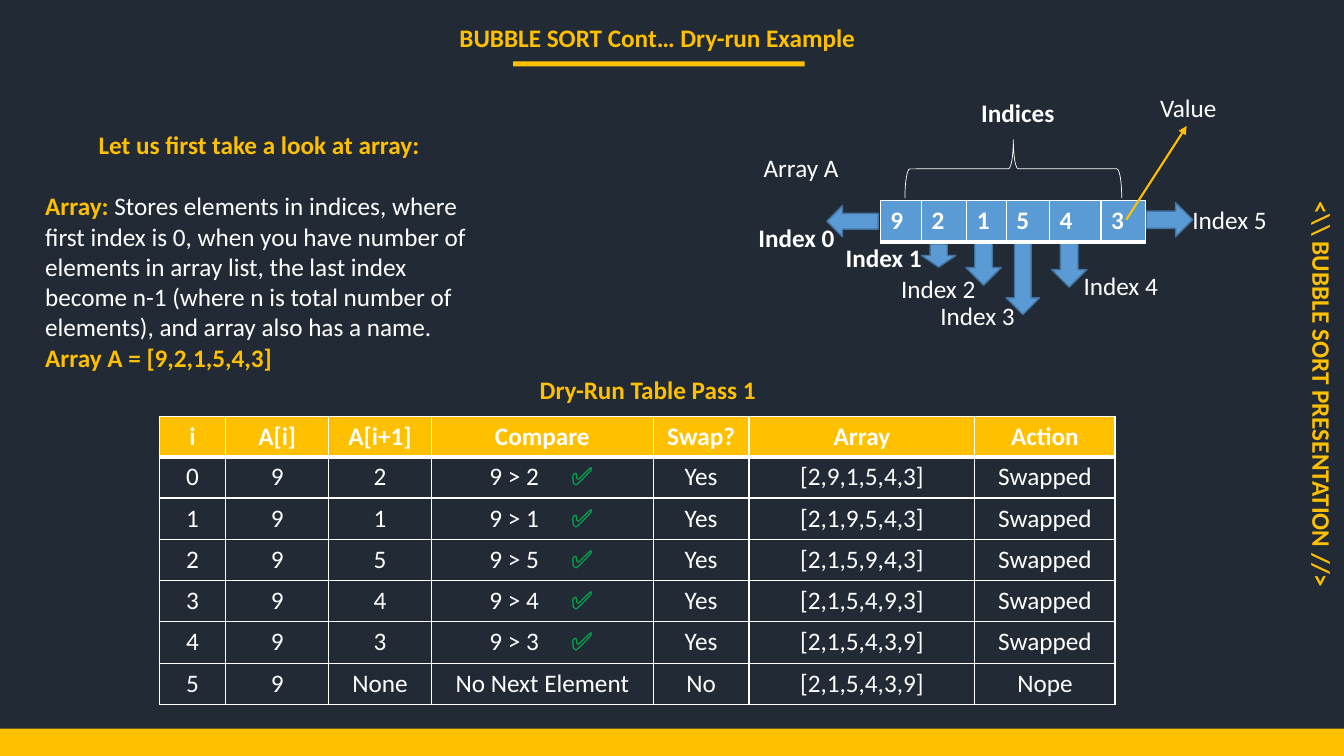
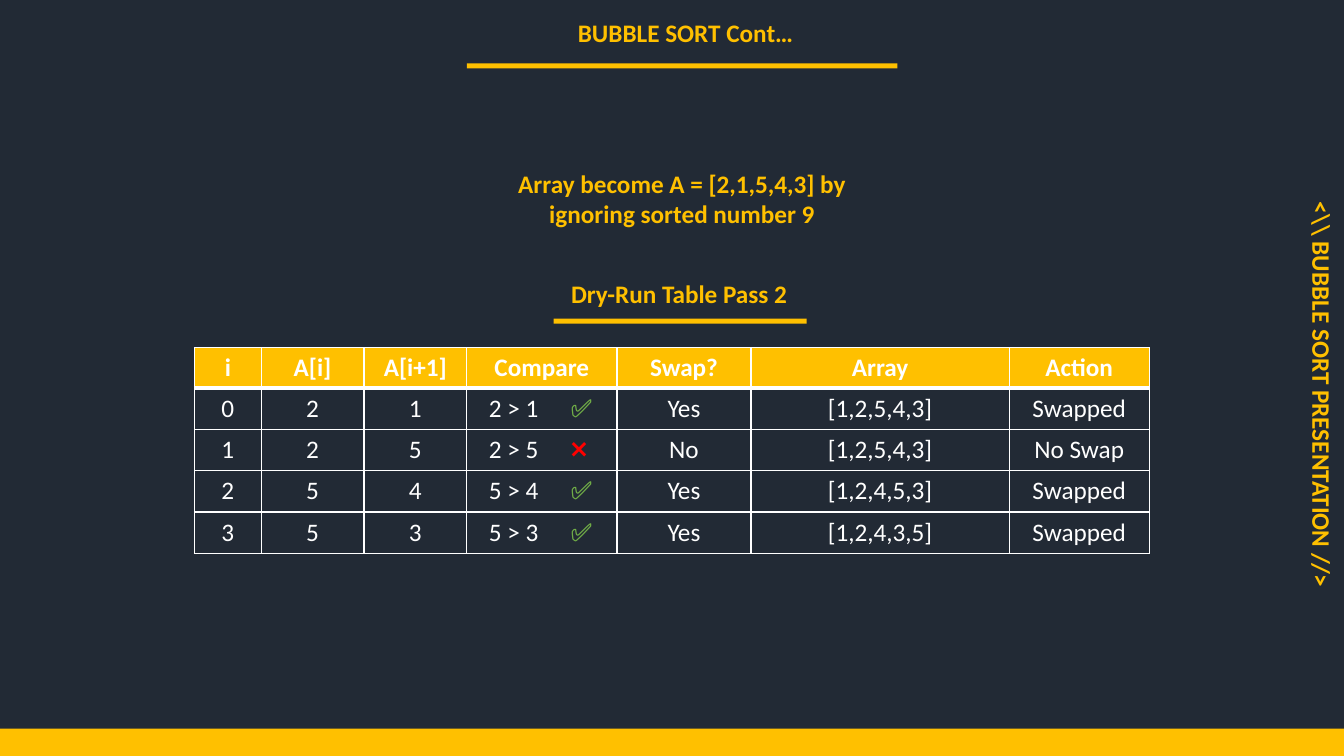
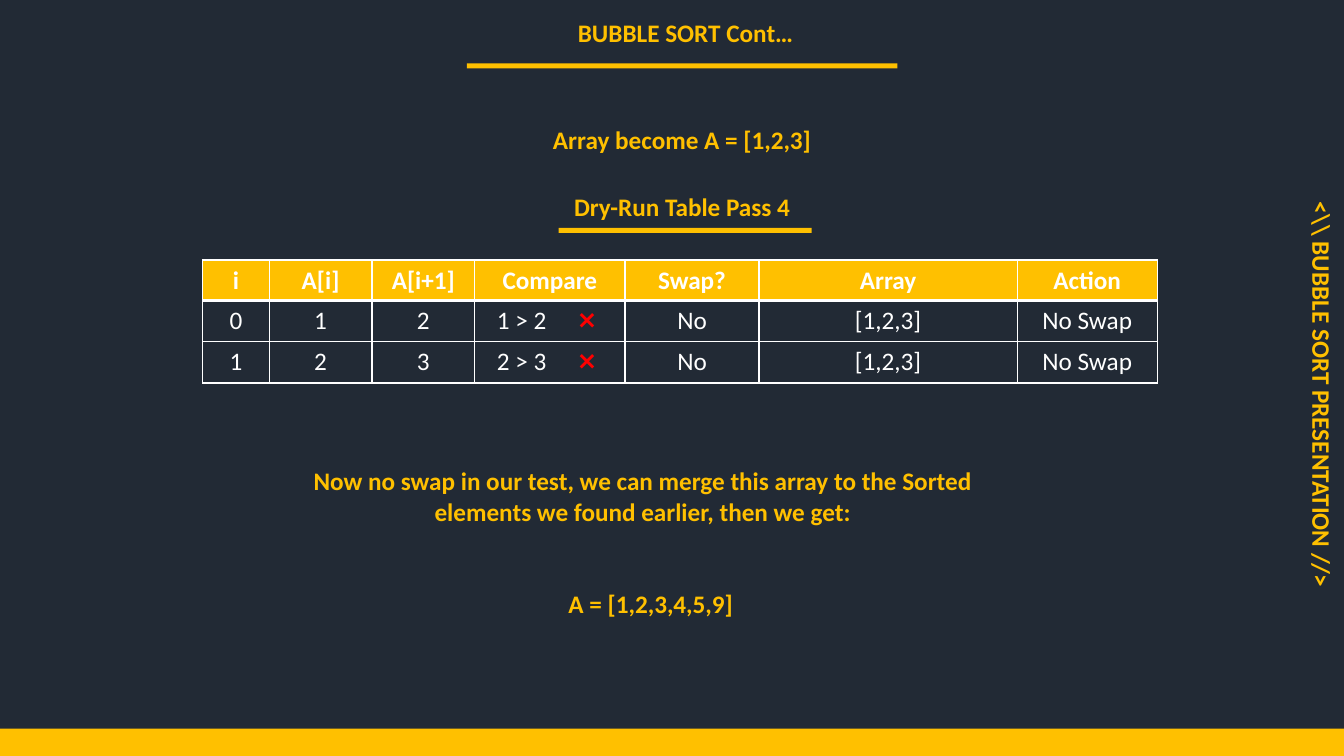
from dataclasses import dataclass

from pptx import Presentation
from pptx.dml.color import RGBColor
from pptx.enum.shapes import MSO_CONNECTOR, MSO_SHAPE
from pptx.enum.text import MSO_ANCHOR, PP_ALIGN
from pptx.oxml.ns import qn
from pptx.util import Inches, Pt
from lxml import etree


@dataclass(frozen=True)
class Theme:
    background: str = "222A35"
    gold: str = "FFC000"
    white: str = "FFFFFF"
    blue: str = "5B9BD5"
    blue_edge: str = "43739E"
    green: str = "00B050"
    light_green: str = "70AD47"
    red: str = "FF0000"
    font: str = "Calibri"
    size: int = 18


THEME = Theme()
SLIDE_W, SLIDE_H = 13.33, 7.5
BAND_H, RULE_H = 0.27, 0.05
HEADER_H, ROW_H = 0.4, 0.41
COMPARE_W, MARK_TAB = 1.05, 0.81

# ---- Content ----
SIDE_TEXT = "<\\\\ BUBBLE SORT PRESENTATION //>"
HEADERS = ("i", "A[i]", "A[i+1]", "Compare", "Swap?", "Array", "Action")
LATER_COLUMNS = (0.66, 1.02, 1.02, 1.49, 1.33, 2.56, 1.39)
LATER_TITLE = {"text": "BUBBLE SORT Cont…", "box": (3.12, 0.09, 7.36, 0.46),
               "rule": (4.63, 0.63, 4.27)}

# Each step: A[i], A[i+1], swap, array afterwards, action
SLIDES = [
    {
        "title": {"text": "BUBBLE SORT Cont… Dry-run Example",
                  "box": (4.28, 0.14, 4.48, 0.46), "rule": (5.09, 0.61, 2.89)},
        "captions": [("Dry-Run Table Pass 1", (5.11, 3.63, 2.63, 0.46))],
        "rules": [],
        "table_at": (1.58, 4.13),
        "columns": (0.66, 1.02, 1.02, 2.2, 0.95, 2.24, 1.39),
        "yes_color": THEME.green,
        "steps": [
            (9, 2, "Yes", "[2,9,1,5,4,3]", "Swapped"),
            (9, 1, "Yes", "[2,1,9,5,4,3]", "Swapped"),
            (9, 5, "Yes", "[2,1,5,9,4,3]", "Swapped"),
            (9, 4, "Yes", "[2,1,5,4,9,3]", "Swapped"),
            (9, 3, "Yes", "[2,1,5,4,3,9]", "Swapped"),
            (9, None, "No", "[2,1,5,4,3,9]", "Nope"),
        ],
    },
    {
        "title": LATER_TITLE,
        "captions": [
            ("Array become A = [2,1,5,4,3] by ignoring sorted number 9",
             (4.81, 1.69, 3.91, 0.55)),
            ("Dry-Run Table Pass 2", (4.29, 2.64, 4.89, 0.55)),
        ],
        "rules": [(5.49, 3.16, 2.51)],
        "table_at": (1.93, 3.45),
        "columns": LATER_COLUMNS,
        "yes_color": THEME.light_green,
        "steps": [
            (2, 1, "Yes", "[1,2,5,4,3]", "Swapped"),
            (2, 5, "No", "[1,2,5,4,3]", "No Swap"),
            (5, 4, "Yes", "[1,2,4,5,3]", "Swapped"),
            (5, 3, "Yes", "[1,2,4,3,5]", "Swapped"),
        ],
    },
    {
        "title": LATER_TITLE,
        "captions": [
            ("Array become A = [1,2,3]", (4.81, 1.11, 3.91, 0.55)),
            ("Dry-Run Table Pass 4", (4.32, 1.77, 4.89, 0.55)),
            ("Now no swap in our test, we can merge this array to the Sorted "
             "elements we found earlier, then we get:", (2.54, 4.57, 7.67, 0.7)),
            ("A = [1,2,3,4,5,9]", (2.62, 5.66, 7.67, 0.65)),
        ],
        "rules": [(5.54, 2.26, 2.51)],
        "table_at": (2.01, 2.58),
        "columns": LATER_COLUMNS,
        "yes_color": THEME.light_green,
        "steps": [
            (1, 2, "No", "[1,2,3]", "No Swap"),
            (2, 3, "No", "[1,2,3]", "No Swap"),
        ],
    },
]

INTRO_BOX = (0.35, 1.29, 4.44, 2.4)
INTRO_HEADING = "Let us first take a look at array:"
INTRO_RUNS = [
    ("Array: ", THEME.gold, True),
    ("Stores elements in indices, where first index is 0, when you have number "
     "of elements in array list, the last index become n-1 (where n is total "
     "number of elements), and array also has a name. ", THEME.white, False),
    ("Array A = [9,2,1,5,4,3]", THEME.gold, True),
]

ARRAY_AT = (8.73, 1.99)
ARRAY_VALUES = (9, 2, 1, 5, 4, 3)
ARRAY_COLUMNS = (0.41, 0.45, 0.39, 0.43, 0.51, 0.44)
ARRAY_LABELS = [  # text, box, bold
    ("Index 0", (7.05, 2.19, 1.7, 0.33), True),
    ("Index 1", (7.87, 2.44, 1.79, 0.22), True),
    ("Index 2", (8.41, 2.75, 1.79, 0.22), False),
    ("Index 3", (8.8, 3.02, 1.79, 0.22), False),
    ("Index 4", (10.22, 2.72, 1.79, 0.22), False),
    ("Index 5", (11.69, 2.04, 1.01, 0.28), False),
    ("Array A", (7.42, 1.58, 1.05, 0.17), False),
    ("Indices", (9.2, 1.01, 1.79, 0.22), True),
    ("Value", (10.89, 0.96, 1.79, 0.22), False),
]
INDEX_ARROWS = [  # box, rotation
    ((8.3, 1.94, 0.31, 0.51), 90),
    ((9.14, 2.42, 0.34, 0.23), 0),
    ((9.58, 2.39, 0.35, 0.44), 0),
    ((9.98, 2.4, 0.33, 0.72), 0),
    ((10.43, 2.41, 0.35, 0.44), 0),
    ((11.43, 1.95, 0.34, 0.46), 270),
]
INDICES_BRACE = (9.76, 0.6, 0.58, 2.15)
VALUE_ARROW = (11.17, 2.18, 11.77, 1.25)


# ---- Helpers ----
def inches(values):
    return [Inches(value) for value in values]


def rgb(color):
    return RGBColor.from_string(color)


def style_run(run, color, bold):
    run.font.name = THEME.font
    run.font.size = Pt(THEME.size)
    run.font.bold = bold
    run.font.color.rgb = rgb(color)


def write(paragraph, text, color, bold=False, align=PP_ALIGN.CENTER):
    paragraph.text = text
    paragraph.alignment = align
    for run in paragraph.runs:
        style_run(run, color, bold)


def write_runs(paragraph, runs):
    for text, color, bold in runs:
        run = paragraph.add_run()
        run.text = text
        style_run(run, color, bold)


def add_label(slide, text, box, color=THEME.gold, bold=True):
    label = slide.shapes.add_textbox(*inches(box))
    frame = label.text_frame
    frame.word_wrap = True
    frame.vertical_anchor = MSO_ANCHOR.MIDDLE
    write(frame.paragraphs[0], text, color, bold)
    return label


def add_preset(slide, preset, box, fill=None, line=None, width=1, rotation=0):
    shape = slide.shapes.add_shape(preset, *inches(box))
    shape.shadow.inherit = False
    shape.rotation = rotation
    if fill:
        shape.fill.solid()
        shape.fill.fore_color.rgb = rgb(fill)
    else:
        shape.fill.background()
    if line:
        shape.line.color.rgb = rgb(line)
        shape.line.width = Pt(width)
    else:
        shape.line.fill.background()


def add_rule(slide, left, top, width):
    add_preset(slide, MSO_SHAPE.RECTANGLE, (left, top, width, RULE_H), THEME.gold)


def style_cell(cell, fill=None, top=1, bottom=1):
    properties = cell._tc.get_or_add_tcPr()
    for side, width in (("L", 1), ("R", 1), ("T", top), ("B", bottom)):
        edge = etree.SubElement(properties, qn(f"a:ln{side}"), w=str(Pt(width)))
        solid = etree.SubElement(edge, qn("a:solidFill"))
        etree.SubElement(solid, qn("a:srgbClr"), val=THEME.white)
    if fill:
        cell.fill.solid()
        cell.fill.fore_color.rgb = rgb(fill)
    else:
        cell.fill.background()


def add_grid(slide, position, columns, row_heights):
    size = (sum(columns), sum(row_heights))
    table = slide.shapes.add_table(len(row_heights), len(columns),
                                   *inches(position + size)).table
    table.first_row = table.horz_banding = False
    for column, width in zip(table.columns, columns):
        column.width = Inches(width)
    for row, height in zip(table.rows, row_heights):
        row.height = Inches(height)
    return table


# ---- Slide parts ----
def add_frame(slide, title):
    add_preset(slide, MSO_SHAPE.RECTANGLE,
               (0, SLIDE_H - BAND_H, SLIDE_W, BAND_H), THEME.gold)
    add_label(slide, SIDE_TEXT, (9.66, 3.7, 6.91, 0.43)).rotation = 90
    heading = slide.shapes.title
    heading.left, heading.top, heading.width, heading.height = inches(title["box"])
    heading.text_frame.word_wrap = True
    heading.text_frame.vertical_anchor = MSO_ANCHOR.MIDDLE
    write(heading.text_frame.paragraphs[0], title["text"], THEME.gold, True)
    add_rule(slide, *title["rule"])


def write_comparison(cell, current, following, mark, mark_color, column_width):
    cell.margin_left = Inches((column_width - COMPARE_W) / 2)
    paragraph = cell.text_frame.paragraphs[0]
    tabs = etree.SubElement(paragraph._p.get_or_add_pPr(), qn("a:tabLst"))
    etree.SubElement(tabs, qn("a:tab"), pos=str(Inches(MARK_TAB)), algn="l")
    write_runs(paragraph, [(f"{current} > {following}\t", THEME.white, False),
                           (mark, mark_color, False)])


def add_dry_run(slide, content):
    steps, columns = content["steps"], content["columns"]
    marks = {"Yes": ("✅", content["yes_color"]), "No": ("❌", THEME.red)}
    table = add_grid(slide, content["table_at"], columns,
                     [HEADER_H] + [ROW_H] * len(steps))
    for column, header in enumerate(HEADERS):
        cell = table.cell(0, column)
        write(cell.text_frame.paragraphs[0], header, THEME.white, True)
        style_cell(cell, THEME.gold, bottom=3)
    for index, (current, following, swap, array, action) in enumerate(steps):
        values = (index, current, following, "No Next Element", swap, array, action)
        for column, value in enumerate(values):
            cell = table.cell(index + 1, column)
            if HEADERS[column] == "Compare" and following is not None:
                write_comparison(cell, current, following, *marks[swap],
                                 columns[column])
            else:
                write(cell.text_frame.paragraphs[0], str(value), THEME.white)
            style_cell(cell, top=3 if index == 0 else 1)


def add_intro(slide):
    frame = add_label(slide, INTRO_HEADING, INTRO_BOX).text_frame
    frame.paragraphs[0].space_after = Pt(22)
    write_runs(frame.add_paragraph(), INTRO_RUNS)


def add_array_diagram(slide):
    for text, box, bold in ARRAY_LABELS:
        add_label(slide, text, box, THEME.white, bold)
    for box, rotation in INDEX_ARROWS:
        add_preset(slide, MSO_SHAPE.DOWN_ARROW, box, THEME.blue, THEME.blue_edge,
                   rotation=rotation)
    array = add_grid(slide, ARRAY_AT, ARRAY_COLUMNS, [ROW_H])
    for cell, value in zip(array.rows[0].cells, ARRAY_VALUES):
        write(cell.text_frame.paragraphs[0], str(value), THEME.white, True,
              PP_ALIGN.LEFT)
        style_cell(cell, THEME.blue, bottom=3)
    add_preset(slide, MSO_SHAPE.LEFT_BRACE, INDICES_BRACE, line=THEME.white,
               width=0.5, rotation=90)
    pointer = slide.shapes.add_connector(MSO_CONNECTOR.STRAIGHT, *inches(VALUE_ARROW))
    pointer.line.color.rgb = rgb(THEME.gold)
    pointer.line.width = Pt(1.5)
    etree.SubElement(pointer.line._get_or_add_ln(), qn("a:tailEnd"), type="triangle")
    etree.SubElement(pointer._element.spPr, qn("a:effectLst"))


def main():
    deck = Presentation()
    deck.slide_width, deck.slide_height = Inches(SLIDE_W), Inches(SLIDE_H)
    backdrop = deck.slide_master.background.fill
    backdrop.solid()
    backdrop.fore_color.rgb = rgb(THEME.background)
    title_only = deck.slide_layouts[5]

    for number, content in enumerate(SLIDES):
        slide = deck.slides.add_slide(title_only)
        add_frame(slide, content["title"])
        for text, box in content["captions"]:
            add_label(slide, text, box)
        for rule in content["rules"]:
            add_rule(slide, *rule)
        add_dry_run(slide, content)
        if number == 0:
            add_intro(slide)
            add_array_diagram(slide)

    deck.save("out.pptx")


if __name__ == "__main__":
    main()
